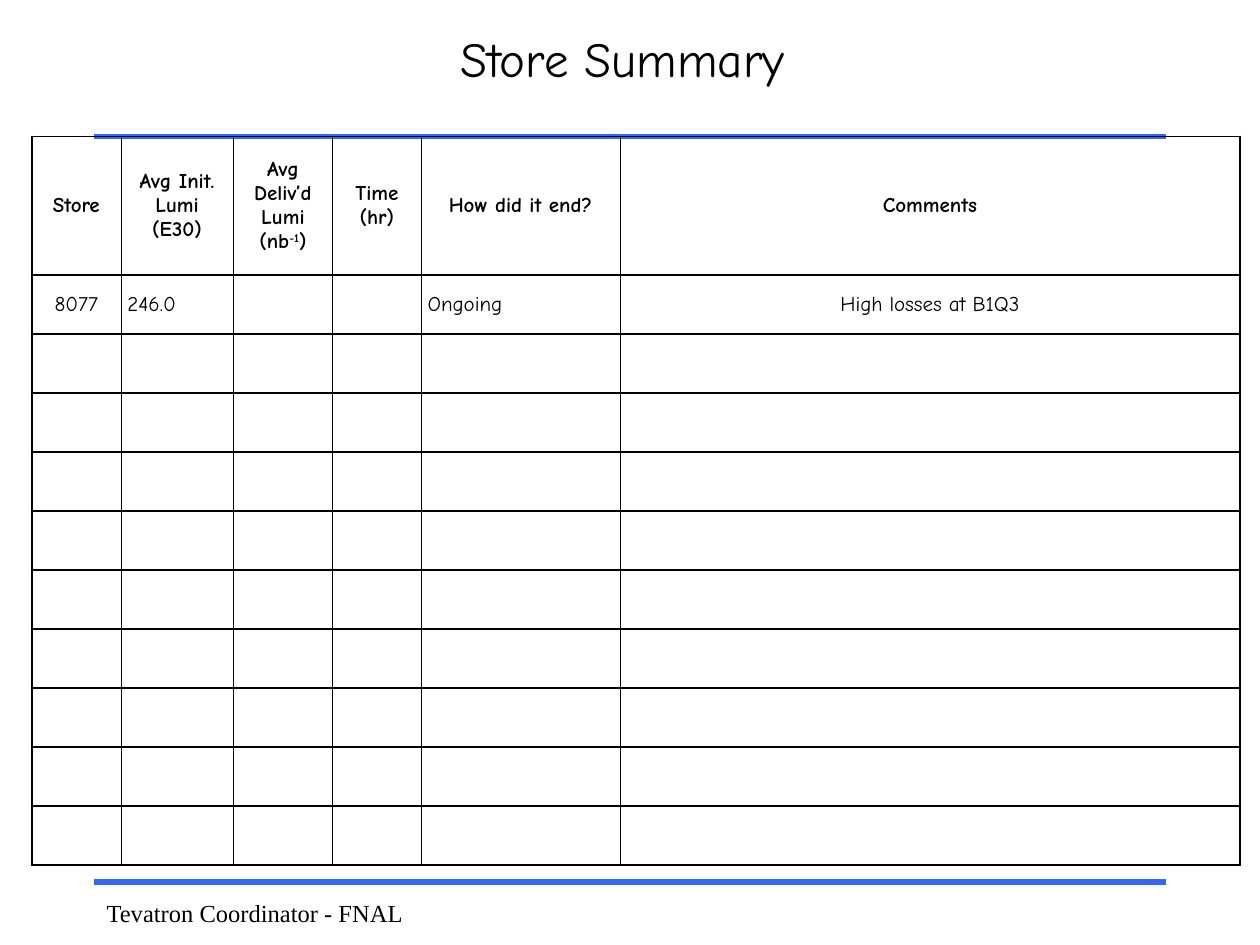
from typing import NamedTuple

from lxml import etree
from pptx import Presentation
from pptx.dml.color import RGBColor
from pptx.enum import shapes, text
from pptx.oxml import ns
from pptx.util import Cm, Pt

BLACK = RGBColor(0x00, 0x00, 0x00)
BLUE = RGBColor(0x33, 0x66, 0xFF)
HAND = "Comic Neue"
SERIF = "Times New Roman"
LEFT, MID = text.PP_ALIGN.LEFT, text.PP_ALIGN.CENTER
THIN, THICK = Pt(0.45), Pt(1.08)


class Label(NamedTuple):
    words: str
    left: float
    top: float
    width: float
    height: float
    font: str
    size: int
    align: text.PP_ALIGN
    anchor: text.MSO_ANCHOR


class Entry(NamedTuple):
    words: str
    align: text.PP_ALIGN = MID
    power: str = ""  # raised text, placed before the last character


LABELS = [
    Label("Tevatron Coordinator - FNAL", 1.9, 17.98, 6.78, 0.64,
          SERIF, 14, LEFT, text.MSO_ANCHOR.TOP),
    Label("Store Summary ", 2.97, 0.43, 19.48, 1.47,
          HAND, 28, MID, text.MSO_ANCHOR.MIDDLE),
]
HEAD = [
    Entry("Store"),
    Entry("Avg Init. Lumi (E30)"),
    Entry("Avg Deliv’d\nLumi\n(nb)", power="-1"),
    Entry("Time (hr)"),
    Entry("How did it end?"),
    Entry("Comments"),
]
STORE = [
    Entry("8077"),
    Entry("246.0", LEFT),
    Entry(""),
    Entry(""),
    Entry("Ongoing", LEFT),
    Entry("High losses at B1Q3"),
]
WIDTHS = [1.8, 2.26, 2.01, 1.78, 4.01, 12.5]
HEAD_H, ROW_H, ROWS = 2.79, 1.19, 10


def style(frame, font: str, size: int, align, bold: bool = False) -> None:
    for par in frame.paragraphs:
        par.alignment = align
        for run in par.runs:
            run.font.name = font
            run.font.size = Pt(size)
            run.font.bold = bold
            run.font.color.rgb = BLACK


def add_rule(slide, top: float) -> None:
    rule = slide.shapes.add_connector(
        shapes.MSO_CONNECTOR.STRAIGHT, Cm(1.9), Cm(top), Cm(23.5), Cm(top))
    rule.line.color.rgb = BLUE
    rule.line.width = Pt(3)
    etree.SubElement(rule._element.spPr, ns.qn("a:effectLst"))


def add_label(slide, item: Label) -> None:
    box = slide.shapes.add_textbox(
        Cm(item.left), Cm(item.top), Cm(item.width), Cm(item.height))
    frame = box.text_frame
    frame.word_wrap = True
    frame.vertical_anchor = item.anchor
    frame.text = item.words
    style(frame, item.font, item.size, item.align)


def add_edge(cell, side: str, width: int) -> None:
    props = cell._tc.get_or_add_tcPr()
    line = etree.SubElement(props, ns.qn(f"a:ln{side}"), w=str(int(width)))
    fill = etree.SubElement(line, ns.qn("a:solidFill"))
    etree.SubElement(fill, ns.qn("a:srgbClr"), val=str(BLACK))


def add_power(par, power: str) -> None:
    base = par.runs[0]
    tail = base.text[-1]
    base.text = base.text[:-1]
    run = par.add_run()
    run.text = power
    run._r.get_or_add_rPr().set("baseline", "30000")
    par.add_run().text = tail


def fill_cell(cell, entry: Entry, head: bool) -> None:
    cell.vertical_anchor = text.MSO_ANCHOR.MIDDLE
    side = Cm(0.25 if head else 0.13)
    cell.margin_left = cell.margin_right = side
    cell.margin_top = cell.margin_bottom = Cm(0.13)
    cell.text_frame.text = entry.words
    if entry.power:
        add_power(cell.text_frame.paragraphs[-1], entry.power)
    style(cell.text_frame, HAND, 12, entry.align, head)


def add_grid(slide) -> None:
    blank = [Entry("")] * len(WIDTHS)
    rows = [HEAD, STORE] + [blank] * (ROWS - 1)
    table = slide.shapes.add_table(
        len(rows), len(WIDTHS), Cm(0.64), Cm(2.75),
        Cm(sum(WIDTHS)), Cm(HEAD_H + ROWS * ROW_H)).table
    table.first_row = table.horz_banding = False
    for col, width in zip(table.columns, WIDTHS):
        col.width = Cm(width)
    last = len(WIDTHS) - 1
    for r, row in enumerate(rows):
        table.rows[r].height = Cm(ROW_H if r else HEAD_H)
        for c, entry in enumerate(row):
            cell = table.cell(r, c)
            fill_cell(cell, entry, r == 0)
            # Heavy outer frame and row lines, fine column lines
            add_edge(cell, "L", THICK if c == 0 else THIN)
            add_edge(cell, "R", THICK if c == last else THIN)
            add_edge(cell, "T", THICK)
            add_edge(cell, "B", THICK)
            cell.fill.background()


def main() -> None:
    deck = Presentation()
    deck.slide_width, deck.slide_height = Cm(25.4), Cm(19.05)
    slide = deck.slides.add_slide(deck.slide_layouts[6])

    # Blue rules above and below the table
    for top in (2.75, 17.78):
        add_rule(slide, top)

    # Footer and title
    for item in LABELS:
        add_label(slide, item)

    # Store table
    add_grid(slide)
    deck.save("out.pptx")


if __name__ == "__main__":
    main()
